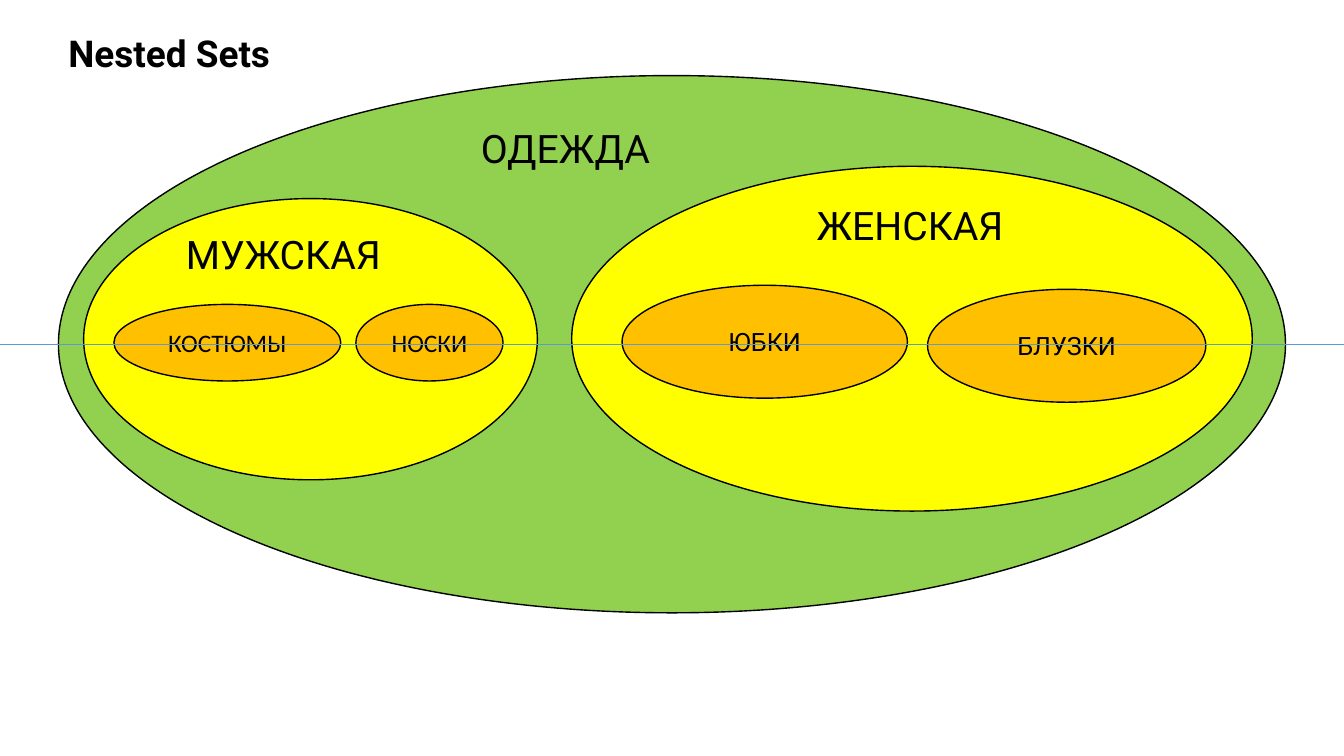
import pptx
import pptx.util
import pptx.dml.color
import pptx.enum.shapes
import pptx.enum.text
import lxml.etree

Inches = pptx.util.Inches
Pt = pptx.util.Pt
ALIGN = pptx.enum.text.PP_ALIGN
ANCHOR = pptx.enum.text.MSO_ANCHOR

SLIDE_SIZE = (13.33, 7.5)
BLACK, GREEN, YELLOW, ORANGE, BLUE = "000000", "92D050", "FFFF00", "FFC000", "5B9BD5"

SETS = [
    ((0.58, 0.75, 12.17, 5.33), GREEN),
    ((5.67, 1.65, 6.75, 3.42), YELLOW),
    ((0.83, 1.97, 4.5, 2.79), YELLOW),
]
SUBSETS = [
    ("БЛУЗКИ", (9.2, 2.87, 2.76, 1.12), "Roboto"),
    ("КОСТЮМЫ", (1.13, 3.02, 2.25, 0.76), "Calibri"),
    ("ЮБКИ", (6.17, 2.83, 2.83, 1.12), "Roboto"),
    ("НОСКИ", (3.53, 3.02, 1.46, 0.76), "Calibri"),
]
CAPTIONS = [
    ("ОДЕЖДА", (4.67, 1.18, 2.92, 0.57), 28, False, ALIGN.LEFT),
    ("ЖЕНСКАЯ", (8, 1.95, 2.92, 0.57), 28, False, ALIGN.LEFT),
    ("МУЖСКАЯ", (1.35, 2.24, 2.92, 0.57), 28, False, ALIGN.CENTER),
    ("Nested Sets", (0.58, 0.25, 8.5, 0.83), 26.4, True, ALIGN.LEFT),
]
AXIS_Y = 3.42


def color(value):
    return pptx.dml.color.RGBColor.from_string(value)


def write(frame, text, font, size, align, anchor, bold=False):
    frame.word_wrap = True
    frame.vertical_anchor = anchor
    frame.text = text
    paragraph = frame.paragraphs[0]
    paragraph.alignment = align
    style = paragraph.runs[0].font
    style.name = font
    style.size = Pt(size)
    style.bold = bold
    style.color.rgb = color(BLACK)


def add_ellipse(slide, place, fill):
    ellipse = slide.shapes.add_shape(
        pptx.enum.shapes.MSO_SHAPE.OVAL, *map(Inches, place))
    ellipse.shadow.inherit = False
    ellipse.fill.solid()
    ellipse.fill.fore_color.rgb = color(fill)
    ellipse.line.color.rgb = color(BLACK)
    ellipse.line.width = Pt(1)
    return ellipse


def add_axis(slide):
    axis = slide.shapes.add_connector(
        pptx.enum.shapes.MSO_CONNECTOR.STRAIGHT,
        *map(Inches, (0, AXIS_Y, SLIDE_SIZE[0], AXIS_Y)))
    axis.line.color.rgb = color(BLUE)
    axis.line.width = Pt(0.5)
    lxml.etree.SubElement(
        axis.element.spPr,
        "{http://schemas.openxmlformats.org/drawingml/2006/main}effectLst")


def main():
    deck = pptx.Presentation()
    deck.slide_width, deck.slide_height = map(Inches, SLIDE_SIZE)
    slide = deck.slides.add_slide(deck.slide_layouts[6])
    for place, fill in SETS:
        add_ellipse(slide, place, fill)
    for text, place, font in SUBSETS:
        subset = add_ellipse(slide, place, ORANGE)
        write(subset.text_frame, text, font, 18, ALIGN.CENTER, ANCHOR.MIDDLE)
    add_axis(slide)
    for text, place, size, bold, align in CAPTIONS:
        caption = slide.shapes.add_textbox(*map(Inches, place))
        write(caption.text_frame, text, "Roboto", size, align, ANCHOR.TOP, bold)
    deck.save("out.pptx")


if __name__ == "__main__":
    main()
